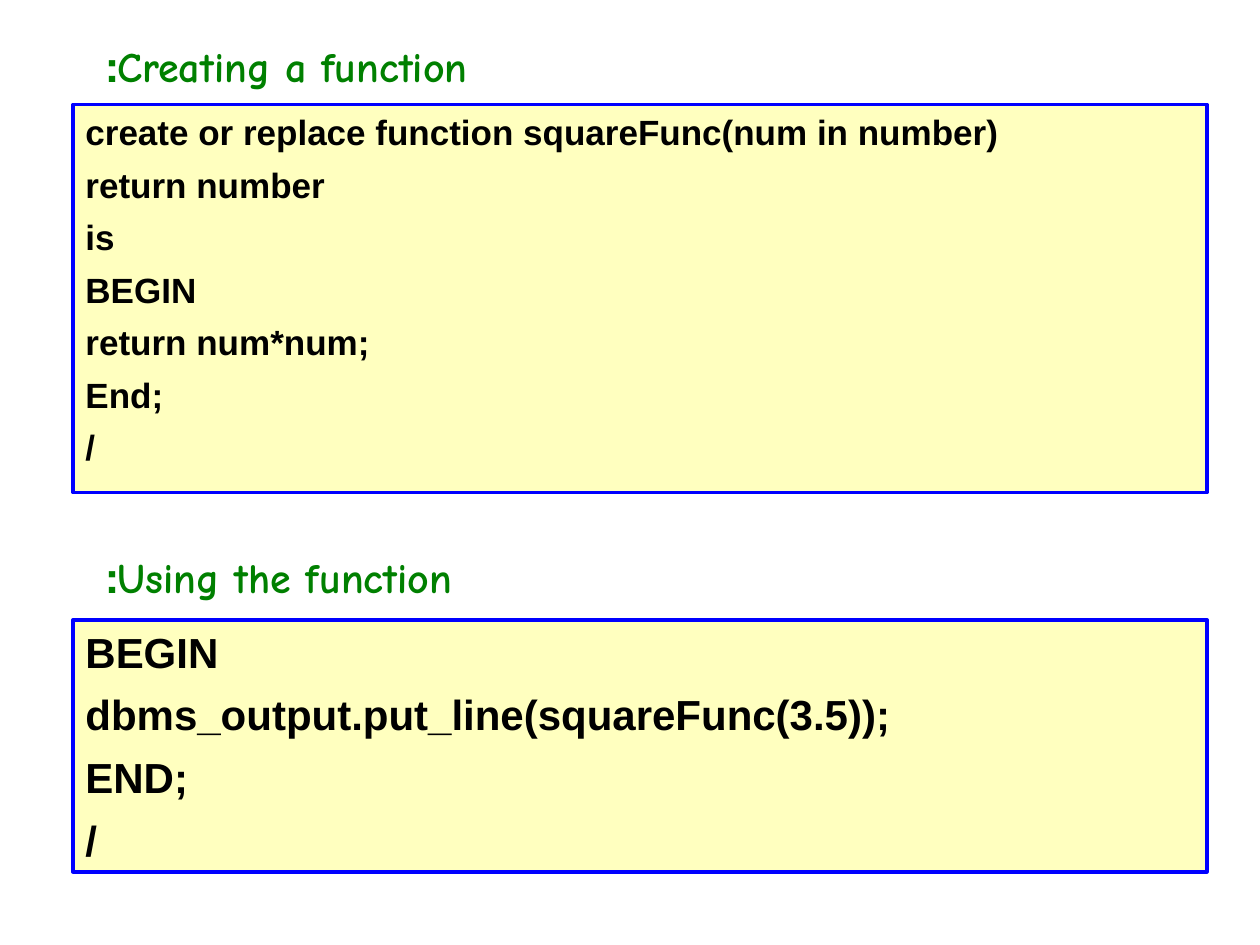
from lxml import etree
from pptx import Presentation, util as u
from pptx.dml.color import RGBColor
from pptx.enum import shapes, text
from pptx.oxml.ns import qn

LEFT, WIDTH = 0.58, 9
HEADING_LEFT, HEADING_WIDTH, HEADING_HEIGHT = 0.75, 3.92, 0.5
HANG = u.Inches(0.38)

CREATE_CODE = """create or replace function squareFunc(num in number)
return number
is
BEGIN
return num*num;
End;
/"""
USE_CODE = """BEGIN
dbms_output.put_line(squareFunc(3.5));
END;
/"""


def rgb(code):
    return RGBColor.from_string(code)


def box(*lengths):
    return [u.Inches(n) for n in lengths]


def style(p, name, size, color):
    p.alignment = text.PP_ALIGN.LEFT
    p.font.name, p.font.size, p.font.bold = name, u.Pt(size), True
    p.font.color.rgb = rgb(color)


def heading(s, top, words):
    """Green caption set in a right-to-left paragraph at the left edge."""
    sp = s.shapes.add_textbox(*box(HEADING_LEFT, top, HEADING_WIDTH, HEADING_HEIGHT))
    tf = sp.text_frame
    tf.word_wrap = True
    p = tf.paragraphs[0]
    p.text = words
    style(p, "Comic Neue", 24, "008000")
    p._p.get_or_add_pPr().set("rtl", "1")


def code_panel(s, top, height, code, size, gap):
    """Translucent yellow panel with one hanging paragraph per code line."""
    sp = s.shapes.add_shape(shapes.MSO_SHAPE.RECTANGLE, *box(LEFT, top, WIDTH, height))
    sp.shadow.inherit = False
    sp.fill.solid()
    sp.fill.fore_color.rgb = rgb("FFFF99")
    color = sp.fill._xPr.find(qn("a:solidFill"))[0]
    etree.SubElement(color, qn("a:alpha"), val="62000")
    sp.line.color.rgb = rgb("0000FF")
    sp.line.width = u.Pt(2)
    tf = sp.text_frame
    tf.word_wrap = True
    tf.vertical_anchor = text.MSO_ANCHOR.TOP
    tf.text = code
    for p in tf.paragraphs:
        style(p, "Arial", size, "000000")
        p.space_before = u.Pt(gap)
        pPr = p._p.get_or_add_pPr()
        pPr.set("marL", str(HANG))
        pPr.set("indent", str(-HANG))


def main():
    prs = Presentation()
    prs.slide_width, prs.slide_height = box(10, 7.5)
    s = prs.slides.add_slide(prs.slide_layouts[6])
    code_panel(s, 0.83, 3.08, CREATE_CODE, size=20, gap=6)
    code_panel(s, 4.92, 2, USE_CODE, size=24, gap=7)
    heading(s, 0.27, "Creating a function:")
    heading(s, 4.33, "Using the function:")
    prs.save("out.pptx")


if __name__ == "__main__":
    main()
